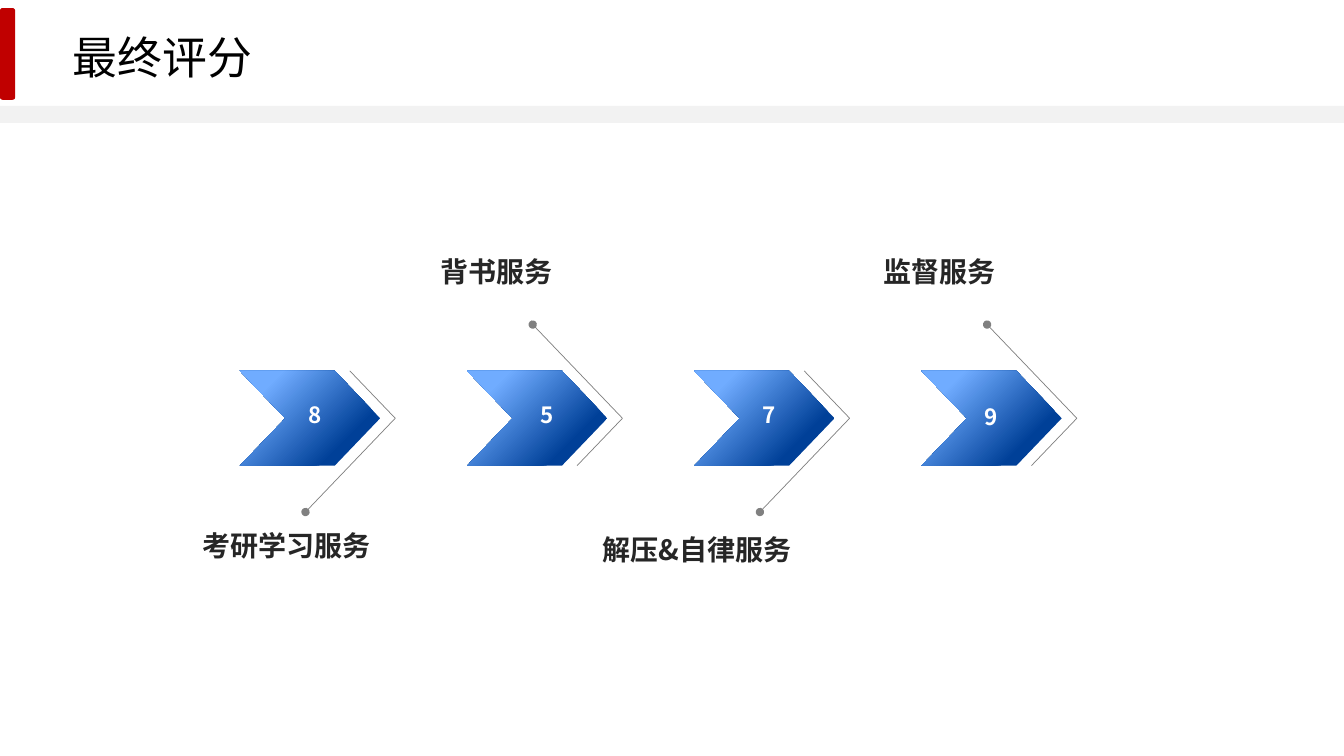
from dataclasses import dataclass

from lxml import etree
from pptx import Presentation
from pptx.dml.color import RGBColor
from pptx.enum.shapes import MSO_SHAPE
from pptx.enum.text import MSO_ANCHOR, MSO_AUTO_SIZE, PP_ALIGN
from pptx.oxml.ns import qn
from pptx.shapes.autoshape import Shape
from pptx.slide import Slide
from pptx.util import Inches, Pt

RECTANGLE = MSO_SHAPE.RECTANGLE
ROUNDED = MSO_SHAPE.ROUNDED_RECTANGLE
LEFT = PP_ALIGN.LEFT
CENTER = PP_ALIGN.CENTER
TOP = MSO_ANCHOR.TOP
NO_AUTOSIZE = MSO_AUTO_SIZE.NONE

WHITE = RGBColor(0xFF, 0xFF, 0xFF)
BLACK = RGBColor(0x00, 0x00, 0x00)
INK = RGBColor(0x26, 0x26, 0x26)
GREY = RGBColor(0x80, 0x80, 0x80)
PALE_GREY = RGBColor(0xF2, 0xF2, 0xF2)
RED = RGBColor(0xC0, 0x00, 0x00)
LIGHT_BLUE = RGBColor(0x70, 0xAC, 0xFF)
DARK_BLUE = RGBColor(0x00, 0x40, 0x98)

FONT = "Noto Sans CJK SC"
FIRST_LEFT = 2.38
PITCH = (9.14 - FIRST_LEFT) / 3
MIDDLE = 4.15
HALF_HEIGHT = 0.47
GUIDE_REACH = 0.93

Point = tuple[float, float]


@dataclass(frozen=True)
class Service:
    name: str
    score: str
    name_at: Point
    score_at: Point
    guide_direction: int


SERVICES = [
    Service("考研学习服务", "8", (1.91, 5.19), (2.85, 3.93), 1),
    Service("背书服务", "5", (4.27, 2.48), (5.15, 3.93), -1),
    Service("解压&自律服务", "7", (5.88, 5.23), (7.35, 3.93), 1),
    Service("监督服务", "9", (8.66, 2.48), (9.55, 3.95), -1),
]


def write(shape: Shape, text: str, size: int, color: RGBColor,
          bold: bool, align: PP_ALIGN) -> None:
    frame = shape.text_frame
    frame.word_wrap = True
    frame.auto_size = NO_AUTOSIZE
    frame.vertical_anchor = TOP
    paragraph = frame.paragraphs[0]
    paragraph.text = text
    paragraph.alignment = align
    font = paragraph.font
    font.size = Pt(size)
    font.bold = bold
    font.color.rgb = color
    font.name = FONT
    defaults = paragraph._p.pPr.find(qn("a:defRPr"))
    etree.SubElement(defaults, qn("a:ea"), typeface=FONT)


def add_text(slide: Slide, at: Point, width: float, height: float, text: str,
             size: int, color: RGBColor, align: PP_ALIGN) -> None:
    box = slide.shapes.add_textbox(
        Inches(at[0]), Inches(at[1]), Inches(width), Inches(height))
    write(box, text, size, color, True, align)


def add_bar(slide: Slide, kind: MSO_SHAPE, top: float, width: float,
            height: float, color: RGBColor) -> None:
    bar = slide.shapes.add_shape(
        kind, 0, Inches(top), Inches(width), Inches(height))
    bar.shadow.inherit = False
    bar.fill.solid()
    bar.fill.fore_color.rgb = color
    bar.line.fill.background()


def add_outline(slide: Slide, points: list[Point], close: bool) -> Shape:
    corners = [(Inches(x), Inches(y)) for x, y in points]
    builder = slide.shapes.build_freeform(*corners[0])
    builder.add_line_segments(corners[1:], close=close)
    outline = builder.convert_to_shape()
    outline.shadow.inherit = False
    return outline


def add_arrow(slide: Slide, left: float) -> None:
    top, bottom = MIDDLE - HALF_HEIGHT, MIDDLE + HALF_HEIGHT
    arrow = add_outline(slide, [
        (left, top), (left + 0.94, top), (left + 1.39, MIDDLE),
        (left + 0.94, bottom), (left, bottom), (left + 0.45, MIDDLE),
    ], True)
    arrow.line.fill.background()
    arrow.fill.gradient()
    stops = zip(arrow.fill.gradient_stops,
                [(0.18, LIGHT_BLUE), (0.75, DARK_BLUE)])
    for stop, (position, color) in stops:
        stop.position = position
        stop.color.rgb = color
    gradient = arrow._element.spPr.find(qn("a:gradFill"))
    gradient.remove(gradient.find(qn("a:lin")))
    radial = etree.Element(qn("a:path"), attrib={"path": "circle"})
    etree.SubElement(radial, qn("a:fillToRect"), r="100000", b="100000")
    gradient.find(qn("a:gsLst")).addnext(radial)


def add_guide(slide: Slide, left: float, direction: int) -> None:
    guide = add_outline(slide, [
        (left + 1.09, MIDDLE - direction * HALF_HEIGHT),
        (left + 1.54, MIDDLE),
        (left + 0.65, MIDDLE + direction * GUIDE_REACH),
    ], False)
    guide.fill.background()
    guide.line.color.rgb = GREY
    guide.line.width = Pt(0.5)
    line = guide._element.spPr.find(qn("a:ln"))
    etree.SubElement(line, qn("a:tailEnd"), type="oval")


def main() -> None:
    deck = Presentation()
    deck.slide_width = Inches(13.33)
    deck.slide_height = Inches(7.5)
    slide = deck.slides.add_slide(deck.slide_layouts[5])

    add_bar(slide, RECTANGLE, 1.05, 13.33, 0.17, PALE_GREY)
    add_bar(slide, ROUNDED, 0.08, 0.15, 0.91, RED)

    title = slide.shapes.title
    title.left, title.top = Inches(0.62), Inches(0.24)
    title.width, title.height = Inches(7.04), Inches(0.64)
    write(title, "最终评分", 32, BLACK, False, LEFT)

    for index, service in enumerate(SERVICES):
        left = FIRST_LEFT + index * PITCH
        add_arrow(slide, left)
        add_guide(slide, left, service.guide_direction)
        add_text(slide, service.score_at, 0.56, 0.37, service.score,
                 16, WHITE, CENTER)
        add_text(slide, service.name_at, 2.69, 0.44, service.name,
                 20, INK, LEFT)

    deck.save("out.pptx")


if __name__ == "__main__":
    main()
